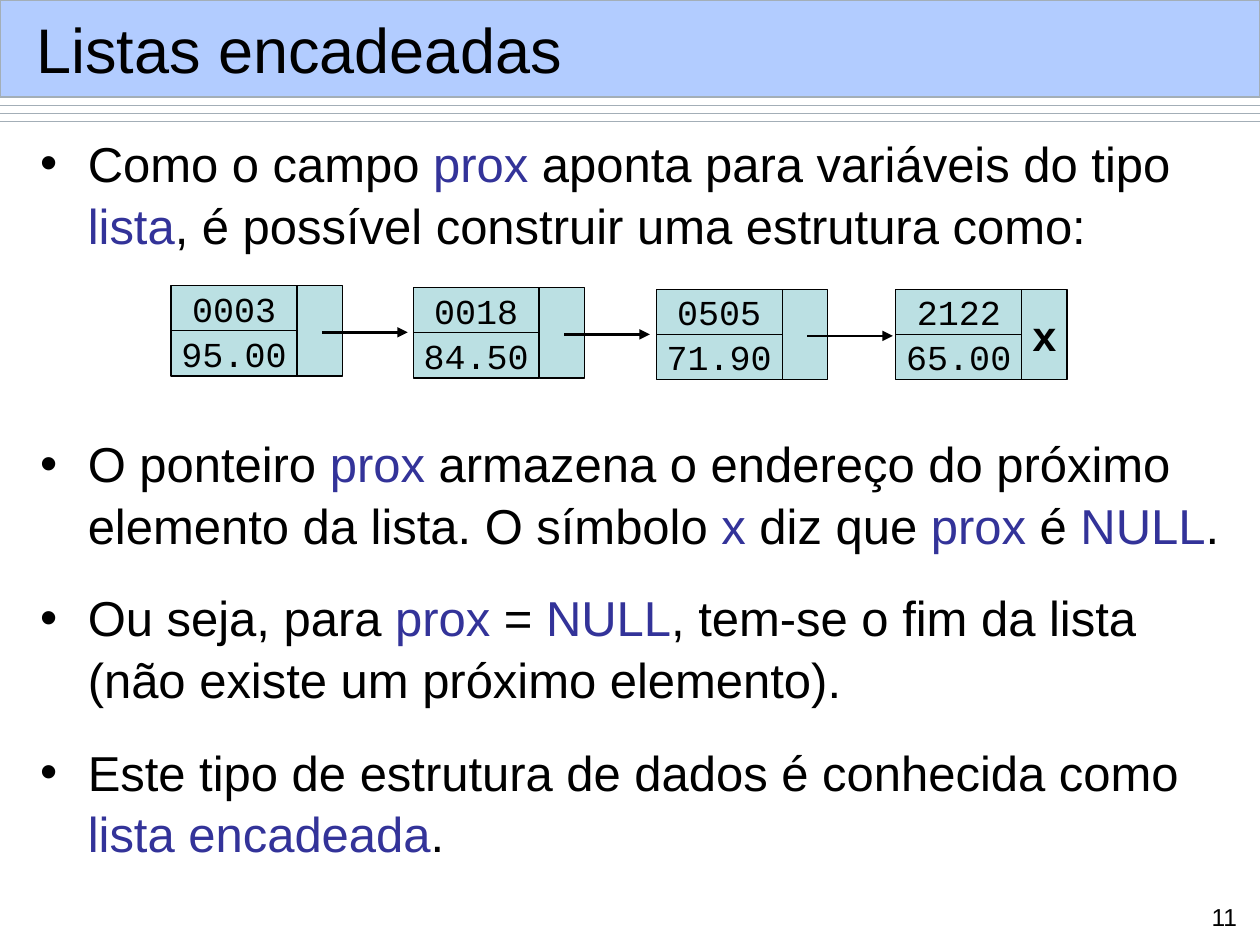
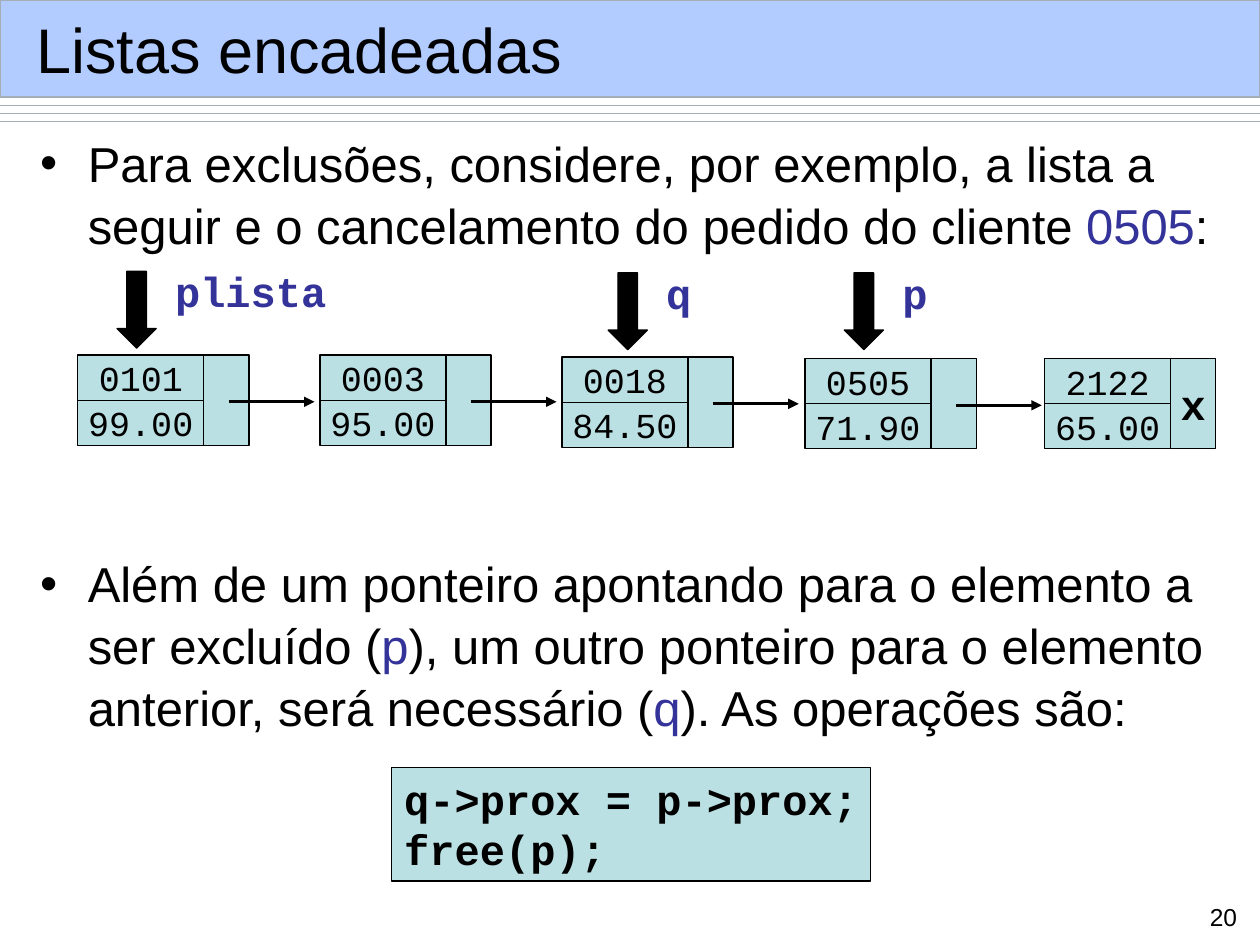
import pptx
import pptx.dml.color
import pptx.enum.shapes
import pptx.enum.text
import pptx.oxml
import pptx.oxml.ns
import pptx.util
from pptx.util import Cm

SHAPES = pptx.enum.shapes.MSO_SHAPE
ALIGN = pptx.enum.text.PP_ALIGN
ANCHOR = pptx.enum.text.MSO_ANCHOR
SANS, MONO = "Arial", "Courier New"
BLACK, ACCENT = "000000", "333399"
BAND, RULE, NODE = "B2CCFF", "A3AEB7", "BBE0E3"
SLIDE_WIDTH, SLIDE_HEIGHT = 25.4, 19.05
DATA_WIDTH, ROW_HEIGHT, POINTER_WIDTH = 2.54, 0.91, 0.91
INDENT = 0.96


def color(value):
    return pptx.dml.color.RGBColor.from_string(value)


def make_element(tag, **attributes):
    element = pptx.oxml.parse_xml(f"<{tag} {pptx.oxml.ns.nsdecls('a')}/>")
    for name, value in attributes.items():
        element.set(name, value)
    return element


def style_font(font, name, size, font_color=BLACK, bold=False):
    font.name = name
    font.size = pptx.util.Pt(size)
    font.color.rgb = color(font_color)
    font.bold = bold


def write_text(shape, text, name, size, font_color=BLACK, bold=False,
               align=ALIGN.LEFT, anchor=ANCHOR.TOP, wrap=False):
    frame = shape.text_frame
    frame.text = text
    frame.word_wrap = wrap
    frame.auto_size = pptx.enum.text.MSO_AUTO_SIZE.NONE
    frame.vertical_anchor = anchor
    for paragraph in frame.paragraphs:
        paragraph.alignment = align
        for run in paragraph.runs:
            style_font(run.font, name, size, font_color, bold)


def add_box(slide, kind, left, top, width, height, fill, line=BLACK):
    shape = slide.shapes.add_shape(kind, Cm(left), Cm(top), Cm(width), Cm(height))
    shape.shadow.inherit = False
    shape.fill.solid()
    shape.fill.fore_color.rgb = color(fill)
    shape.line.color.rgb = color(line)
    shape.line.width = pptx.util.Pt(0.75)
    return shape


def add_line(slide, left, right, top, line, width, arrow=False):
    connector = slide.shapes.add_connector(
        pptx.enum.shapes.MSO_CONNECTOR.STRAIGHT, Cm(left), Cm(top), Cm(right), Cm(top))
    connector.line.color.rgb = color(line)
    connector.line.width = pptx.util.Pt(width)
    if arrow:
        connector.line._get_or_add_ln().append(make_element("a:tailEnd", type="triangle"))
    connector.element.spPr.append(make_element("a:effectLst"))


def add_text_box(slide, left, top, width, height):
    return slide.shapes.add_textbox(Cm(left), Cm(top), Cm(width), Cm(height))


def add_page(presentation, title_text, number):
    slide = presentation.slides.add_slide(presentation.slide_layouts[5])
    for row in range(3):
        add_line(slide, 0, SLIDE_WIDTH, 2.13 + 0.16 * row, RULE, 0.75)
    add_box(slide, SHAPES.RECTANGLE, 0, 0, SLIDE_WIDTH, 1.96, BAND, RULE)
    title = slide.shapes.title
    title.left, title.top, title.width, title.height = Cm(0.48), Cm(0.23), Cm(24.49), Cm(1.5)
    write_text(title, title_text, SANS, 36, anchor=ANCHOR.MIDDLE, wrap=True)
    slide.shapes.element.append(title.element)
    page_number = add_text_box(slide, 24.05, 18.06, 1.14, 0.79)
    write_text(page_number, number, SANS, 14, align=ALIGN.RIGHT, wrap=True)
    return slide


def add_bullets(slide, bullets):
    frame = add_text_box(slide, 0.56, 2.51, 24.59, 15.85).text_frame
    frame.word_wrap = True
    for index, (space_before, marked_text) in enumerate(bullets):
        paragraph = frame.add_paragraph() if index else frame.paragraphs[0]
        paragraph.line_spacing = 1.05
        paragraph.space_before = pptx.util.Pt(space_before)
        properties = paragraph._p.get_or_add_pPr()
        properties.set("marL", str(Cm(INDENT)))
        properties.set("indent", str(-Cm(INDENT)))
        properties.append(make_element("a:buFont", typeface=SANS))
        properties.append(make_element("a:buChar", char="•"))
        for position, piece in enumerate(marked_text.split("*")):
            run = paragraph.add_run()
            run.text = piece
            style_font(run.font, SANS, 28, ACCENT if position % 2 else BLACK)


def add_node(slide, left, top, order, price, last):
    for row, value in enumerate((order, price)):
        cell = add_box(slide, SHAPES.RECTANGLE, left, top + row * ROW_HEIGHT,
                       DATA_WIDTH, ROW_HEIGHT, NODE)
        write_text(cell, value, MONO, 20, align=ALIGN.CENTER, anchor=ANCHOR.MIDDLE)
    pointer = add_box(slide, SHAPES.RECTANGLE, left + DATA_WIDTH, top,
                      POINTER_WIDTH, 2 * ROW_HEIGHT, NODE)
    if last:
        write_text(pointer, "x", MONO, 24, bold=True,
                   align=ALIGN.CENTER, anchor=ANCHOR.MIDDLE)
    else:
        add_line(slide, left + 3.04, left + 4.77, top + 0.94, BLACK, 1.5, arrow=True)


def add_linked_list(slide, nodes):
    for node in nodes:
        add_node(slide, *node, last=node is nodes[-1])


def add_pointer(slide, left, top, name, label_width):
    add_box(slide, SHAPES.DOWN_ARROW, left, top, 0.79, 1.55, BLACK)
    label = add_text_box(slide, left + 0.92, top - 0.24, label_width, 1.27)
    write_text(label, name, MONO, 24, ACCENT, bold=True)


def build_structure_slide(presentation):
    slide = add_page(presentation, "Listas encadeadas", "11")
    add_bullets(slide, [
        (0, "Como o campo *prox* aponta para variáveis do tipo *lista*, "
            "é possível construir uma estrutura como:"),
        (101, "O ponteiro *prox* armazena o endereço do próximo elemento da lista. "
              "O símbolo *x* diz que *prox* é *NULL*."),
        (17.5, "Ou seja, para *prox* = *NULL*, tem-se o fim da lista "
               "(não existe um próximo elemento)."),
        (17.5, "Este tipo de estrutura de dados é conhecida como *lista encadeada*."),
    ])
    add_linked_list(slide, [
        (3.45, 5.76, "0003", "95.00"),
        (8.33, 5.8, "0018", "84.50"),
        (13.23, 5.83, "0505", "71.90"),
        (18.06, 5.83, "2122", "65.00"),
    ])


def build_removal_slide(presentation):
    slide = add_page(presentation, "Listas encadeadas", "20")
    add_bullets(slide, [
        (7, "Para exclusões, considere, por exemplo, a lista a seguir "
            "e o cancelamento do pedido do cliente *0505*:"),
        (169.5, "Além de um ponteiro apontando para o elemento a ser excluído (*p*), "
                "um outro ponteiro para o elemento anterior, será necessário (*q*). "
                "As operações são:"),
    ])
    add_linked_list(slide, [
        (1.57, 7.16, "0101", "99.00"),
        (6.45, 7.16, "0003", "95.00"),
        (11.33, 7.2, "0018", "84.50"),
        (16.23, 7.23, "0505", "71.90"),
        (21.06, 7.23, "2122", "65.00"),
    ])
    add_pointer(slide, 2.36, 5.47, "plista", 3.56)
    add_pointer(slide, 12.26, 5.5, "q", 1.02)
    add_pointer(slide, 17.02, 5.5, "p", 1.02)
    code = add_box(slide, SHAPES.RECTANGLE, 7.9, 15.47, 9.65, 2.29, NODE)
    write_text(code, "q->prox = p->prox;\nfree(p);", MONO, 24, bold=True)


def main():
    presentation = pptx.Presentation()
    presentation.slide_width = Cm(SLIDE_WIDTH)
    presentation.slide_height = Cm(SLIDE_HEIGHT)
    build_structure_slide(presentation)
    build_removal_slide(presentation)
    presentation.save("out.pptx")


if __name__ == "__main__":
    main()
